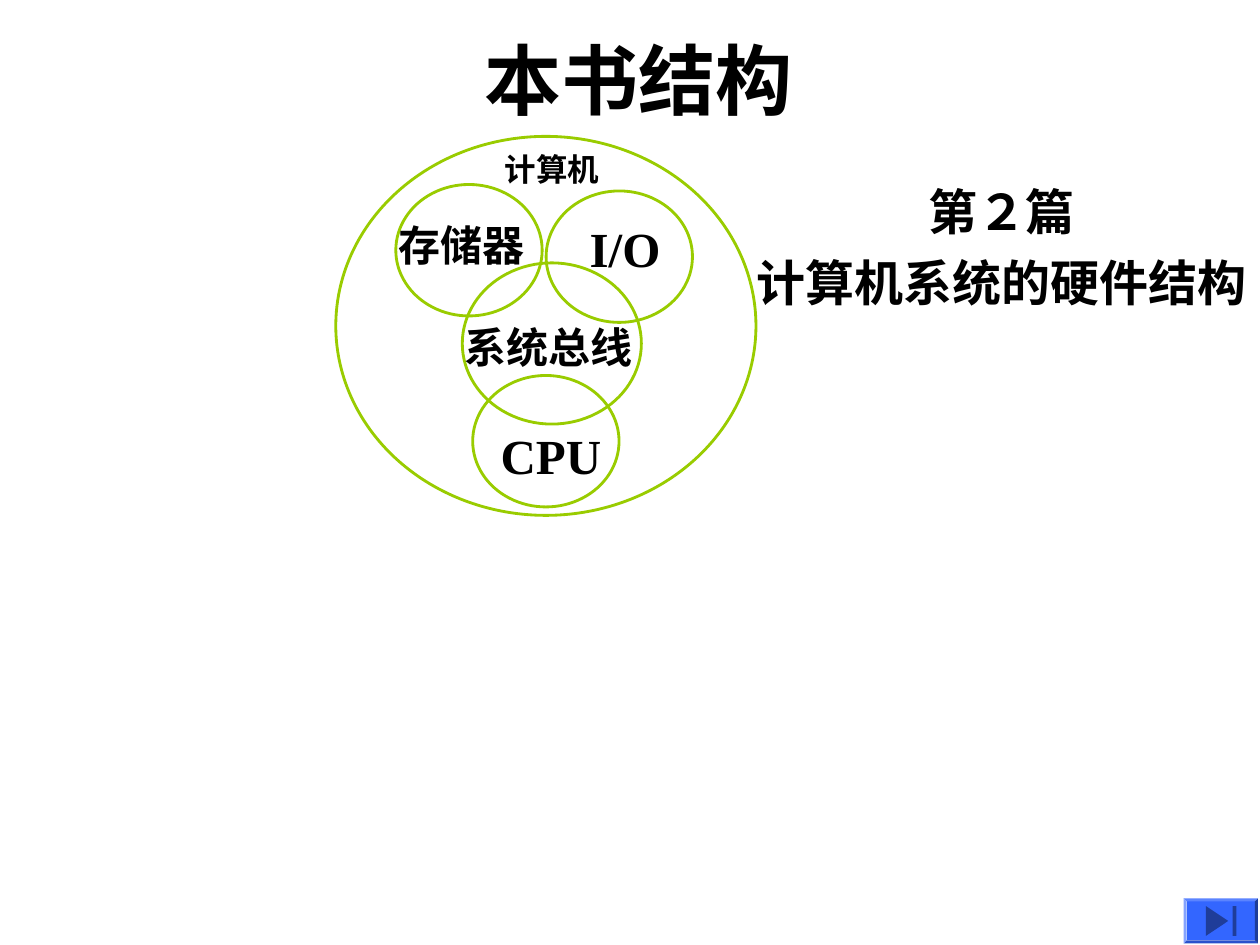
import pptx
import pptx.dml.color
import pptx.enum.shapes
import pptx.enum.text
import pptx.oxml
import pptx.oxml.ns
import pptx.util
from pptx.util import Cm

BLACK = pptx.dml.color.RGBColor(0x00, 0x00, 0x00)
GREEN = pptx.dml.color.RGBColor(0x99, 0xCC, 0x00)
BLUE = pptx.dml.color.RGBColor(0x33, 0x66, 0xFF)
DARK_BLUE = pptx.dml.color.RGBColor(0x1F, 0x3D, 0x99)

CHINESE_FONT = "Noto Sans CJK SC"
LATIN_FONT = "Times New Roman"
TITLE_FONT = "Arial"
SHAPE_TYPE = pptx.enum.shapes.MSO_SHAPE
ALIGN = pptx.enum.text.PP_ALIGN


def add_text(slide, box, lines, size, font=CHINESE_FONT, space_before=0):
    """Add bold centred lines; box is left, top, width, height in cm."""
    frame = slide.shapes.add_textbox(*map(Cm, box)).text_frame
    frame.word_wrap = True
    frame.vertical_anchor = pptx.enum.text.MSO_ANCHOR.MIDDLE
    frame.margin_left = frame.margin_right = Cm(0)
    frame.margin_top = frame.margin_bottom = Cm(0)
    for index, line in enumerate(lines):
        paragraph = frame.add_paragraph() if index else frame.paragraphs[0]
        paragraph.alignment = ALIGN.CENTER
        if index:
            paragraph.space_before = pptx.util.Pt(space_before)
        run = paragraph.add_run()
        run.text = line
        run.font.size = pptx.util.Pt(size)
        run.font.bold = True
        run.font.name = font
        run.font.color.rgb = BLACK
        east_asian = pptx.oxml.parse_xml(
            f'<a:ea {pptx.oxml.ns.nsdecls("a")} typeface="{CHINESE_FONT}"/>')
        run.font._element.append(east_asian)


def add_ellipse(slide, box):
    ellipse = slide.shapes.add_shape(SHAPE_TYPE.OVAL, *map(Cm, box))
    ellipse.shadow.inherit = False
    ellipse.fill.background()
    ellipse.line.color.rgb = GREEN
    ellipse.line.width = pptx.util.Pt(1.62)


def add_computer_diagram(slide, box):
    """Draw the computer as an outer ellipse with its overlapping parts."""
    left, top, width, height = box
    part_size = (2.95, 2.65)
    ellipses = [
        (0, 0, width, height),      # computer
        (2.55, 2.55, 3.61, 3.25),   # system bus
        (1.21, 0.97, *part_size),   # memory
        (4.24, 1.1, *part_size),    # I/O
        (2.76, 4.82, *part_size),   # CPU
    ]
    labels = [
        ("计算机", 18, CHINESE_FONT, (3.3, 0.27, 2.11, 0.76)),
        ("I/O", 28, LATIN_FONT, (4.79, 1.66, 2.08, 1.19)),
        ("系统总线", 24, CHINESE_FONT, (2.5, 3.73, 3.58, 1.02)),
        ("存储器", 24, CHINESE_FONT, (1.16, 1.67, 2.74, 1.02)),
        ("CPU", 28, LATIN_FONT, (3.22, 5.83, 2.23, 1.19)),
    ]
    for x, y, part_width, part_height in ellipses:
        add_ellipse(slide, (left + x, top + y, part_width, part_height))
    for text, size, font, (x, y, label_width, label_height) in labels:
        add_text(slide, (left + x, top + y, label_width, label_height),
                 [text], size, font)


def fill_plain(shape, color):
    shape.shadow.inherit = False
    shape.fill.solid()
    shape.fill.fore_color.rgb = color
    shape.line.fill.background()


def add_end_button(slide, box):
    """Draw a bevelled button with a triangle and a bar on it."""
    left, top, width, height = box
    button = slide.shapes.add_shape(SHAPE_TYPE.BEVEL, *map(Cm, box))
    button.adjustments[0] = 0.07

    icon_left, icon_top = left + 0.3 * width, top + 0.17 * height
    icon_height = 0.66 * height
    builder = slide.shapes.build_freeform(Cm(icon_left), Cm(icon_top))
    builder.add_line_segments([
        (Cm(icon_left + 0.3 * width), Cm(icon_top + icon_height / 2)),
        (Cm(icon_left), Cm(icon_top + icon_height)),
    ])
    triangle = builder.convert_to_shape()
    bar = slide.shapes.add_shape(
        SHAPE_TYPE.RECTANGLE, Cm(left + 0.66 * width), Cm(icon_top),
        Cm(0.05 * width), Cm(icon_height))

    fill_plain(button, BLUE)
    for icon_part in (triangle, bar):
        fill_plain(icon_part, DARK_BLUE)


def main():
    presentation = pptx.Presentation()
    presentation.slide_width = Cm(25.4)
    presentation.slide_height = Cm(19.05)
    slide = presentation.slides.add_slide(presentation.slide_layouts[6])

    add_text(slide, (1.9, 0, 21.59, 3.18), [" 本书结构"], 44, TITLE_FONT)
    add_text(slide, (15.01, 3.53, 10.36, 2.87),
             ["第２篇", "计算机系统的硬件结构"], 28, space_before=7)
    add_computer_diagram(slide, (6.77, 2.75, 8.47, 7.64))
    add_end_button(slide, (23.86, 18.11, 1.5, 0.91))

    presentation.save("out.pptx")


if __name__ == "__main__":
    main()
